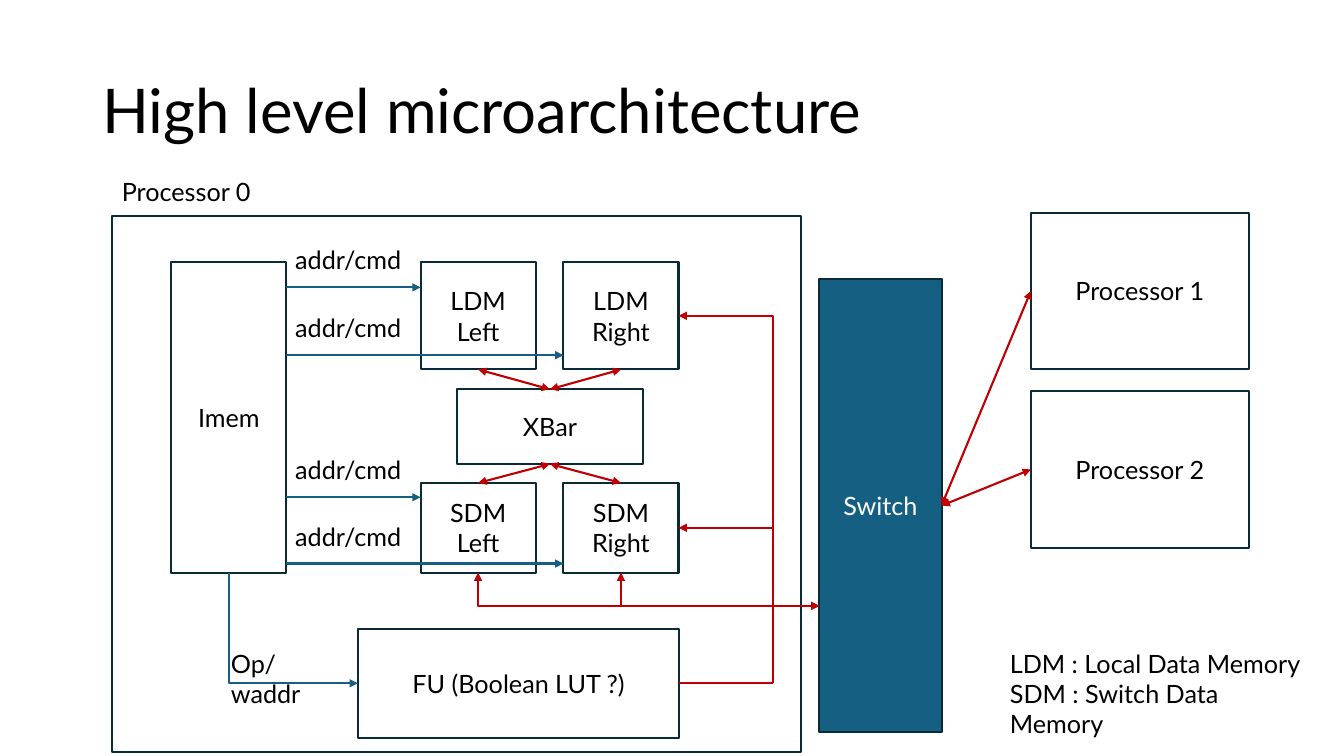
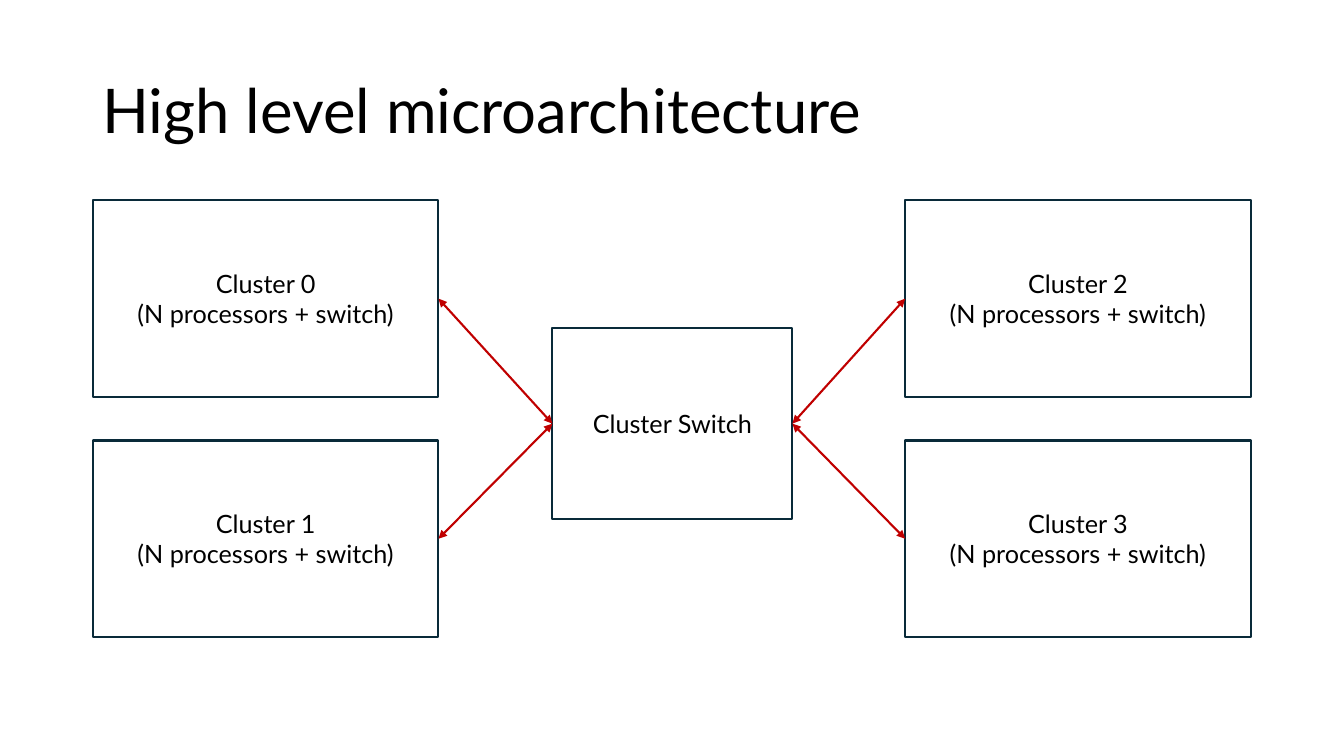
from dataclasses import dataclass

from pptx import Presentation
from pptx.dml.color import RGBColor
from pptx.enum.shapes import MSO_CONNECTOR, MSO_SHAPE
from pptx.enum.text import MSO_ANCHOR, PP_ALIGN
from pptx.oxml.ns import qn
from pptx.util import Cm, Pt
from lxml.etree import SubElement

COLOURS = {
    "ink": "000000",
    "paper": "FFFFFF",
    "outline": "092A39",
    "control": "156082",
    "data": "C00000",
}
FONT = "Lato"
LINE_WIDTH = Pt(1.5)


@dataclass
class Box:
    left: float
    top: float
    width: float
    height: float

    @property
    def right(self):
        return self.left + self.width

    @property
    def bottom(self):
        return self.top + self.height

    @property
    def centre(self):
        return self.left + self.width / 2

    @property
    def middle(self):
        return self.top + self.height / 2

    def lengths(self):
        return Cm(self.left), Cm(self.top), Cm(self.width), Cm(self.height)

    def inner(self, left, top, width, height):
        return Box(self.left + left, self.top + top, width, height)


def colour(name):
    return RGBColor.from_string(COLOURS[name])


def write_text(frame, text, size=18, ink="ink", align=PP_ALIGN.LEFT,
               anchor=MSO_ANCHOR.TOP, spacing=None):
    frame.word_wrap = True
    frame.vertical_anchor = anchor
    for index, line in enumerate(text.split("\n")):
        paragraph = frame.paragraphs[0] if index == 0 else frame.add_paragraph()
        paragraph.alignment = align
        paragraph.line_spacing = spacing
        run = paragraph.add_run()
        run.text = line
        run.font.name = FONT
        run.font.size = Pt(size)
        run.font.color.rgb = colour(ink)


def add_label(slide, box, text, **text_format):
    write_text(slide.shapes.add_textbox(*box.lengths()).text_frame, text, **text_format)


def add_block(slide, box, text="", fill=None, ink="ink"):
    shape = slide.shapes.add_shape(MSO_SHAPE.RECTANGLE, *box.lengths())
    shape.shadow.inherit = False
    if fill:
        shape.fill.solid()
        shape.fill.fore_color.rgb = colour(fill)
    else:
        shape.fill.background()
    shape.line.color.rgb = colour("outline")
    shape.line.width = LINE_WIDTH
    if text:
        write_text(shape.text_frame, text, ink=ink, align=PP_ALIGN.CENTER,
                   anchor=MSO_ANCHOR.MIDDLE)
    return box


def add_link(slide, start, end, stroke="data", arrows=("headEnd", "tailEnd"), bent=False):
    kind = MSO_CONNECTOR.ELBOW if bent else MSO_CONNECTOR.STRAIGHT
    connector = slide.shapes.add_connector(kind, *map(Cm, start + end))
    connector.line.color.rgb = colour(stroke)
    connector.line.width = LINE_WIDTH
    properties = connector._element.spPr
    if bent:
        properties.find(qn("a:prstGeom")).set("prst", "bentConnector2")
    for arrow in arrows:
        SubElement(properties.find(qn("a:ln")), qn(f"a:{arrow}"), type="triangle")
    SubElement(properties, qn("a:effectLst"))


def add_titled_slide(presentation, title):
    slide = presentation.slides.add_slide(presentation.slide_layouts[6])
    add_label(slide, Box(2.33, 1.01, 29.21, 3.68), title, size=44,
              anchor=MSO_ANCHOR.MIDDLE, spacing=0.9)
    return slide


def add_memory_pair(slide, box, name):
    width = 2.9
    return [
        add_block(slide, Box(left, box.top, width, box.height), f"{name}\n{side}")
        for left, side in ((box.left, "Left"), (box.right - width, "Right"))
    ]


def add_processor(slide, frame, switch):
    add_block(slide, frame)
    add_label(slide, frame.inner(0, -1.12, 3.76, 1.02), "Processor 0")
    imem = add_block(slide, frame.inner(1.5, 1.17, 2.9, 7.82), "Imem")
    local = add_memory_pair(slide, frame.inner(7.78, 1.17, 6.5, 2.7), "LDM")
    shared = add_memory_pair(slide, frame.inner(7.78, 6.73, 6.5, 2.26), "SDM")
    crossbar = add_block(slide, frame.inner(8.69, 4.37, 4.7, 1.88), "XBar")
    unit = add_block(slide, frame.inner(6.2, 10.41, 8.1, 2.74), "FU (Boolean LUT ?)")

    for memory, offset in zip(local + shared, (1.8, 3.51, 7.09, 8.76)):
        row = frame.top + offset
        add_label(slide, Box(imem.right - 0.03, row - 1.2, 3.78, 1.02), "addr/cmd")
        add_link(slide, (imem.right, row), (memory.left, row), "control", ["tailEnd"])
    add_link(slide, (unit.left, unit.middle), (imem.centre, imem.bottom),
             "control", ["headEnd"], bent=True)
    add_label(slide, Box(imem.centre - 0.2, unit.top + 0.35, 2.5, 1.8), "Op/waddr")

    for memory in local:
        add_link(slide, (memory.centre, memory.bottom), (crossbar.centre, crossbar.top))
    bus = frame.top + 9.83
    for memory in shared:
        add_link(slide, (crossbar.centre, crossbar.bottom), (memory.centre, memory.top))
        add_link(slide, (switch.left, bus), (memory.centre, memory.bottom), bent=True)

    trunk = frame.left + 16.8 - 0.14
    for memory in (local[1], shared[1]):
        add_link(slide, (memory.right, memory.middle), (trunk, unit.middle),
                 arrows=["headEnd"], bent=True)
    add_link(slide, (unit.right, unit.middle), (trunk, unit.middle), arrows=[])


def add_peers(slide, area, switch):
    for index in range(2):
        peer = add_block(slide, area.inner(0, 4.5 * index, area.width, 3.94),
                         f"Processor {index + 1}")
        add_link(slide, (switch.right, switch.middle), (peer.left, peer.middle))


def build_processor_slide(presentation, title):
    slide = add_titled_slide(presentation, title)
    switch = add_block(slide, Box(20.65, 7.04, 3.08, 11.4), "Switch",
                       fill="control", ink="paper")
    add_processor(slide, Box(2.82, 5.44, 17.37, 13.51), switch)
    add_peers(slide, Box(25.98, 5.36, 5.49, 8.44), switch)
    add_label(slide, Box(25.2, 16.2, 7.98, 2.6),
              "LDM : Local Data Memory\nSDM : Switch Data Memory")


def add_clusters(slide, area):
    switch = add_block(slide, area.inner(11.58, 3.21, 6.05, 4.83), "Cluster Switch")
    width, height = 8.71, 4.95
    for index in range(4):
        column, row = divmod(index, 2)
        cluster = add_block(
            slide,
            Box(area.left + column * (area.width - width),
                area.top + row * (area.height - height), width, height),
            f"Cluster {index}\n(N processors + switch)")
        if column == 0:
            add_link(slide, (cluster.right, cluster.middle), (switch.left, switch.middle))
        else:
            add_link(slide, (switch.right, switch.middle), (cluster.left, cluster.middle))


def build_cluster_slide(presentation, title):
    slide = add_titled_slide(presentation, title)
    add_clusters(slide, Box(2.34, 5.05, 29.18, 11))


def main():
    presentation = Presentation()
    presentation.slide_width = Cm(33.87)
    presentation.slide_height = Cm(19.05)
    title = "High level microarchitecture"
    build_processor_slide(presentation, title)
    build_cluster_slide(presentation, title)
    presentation.save("out.pptx")


if __name__ == "__main__":
    main()
